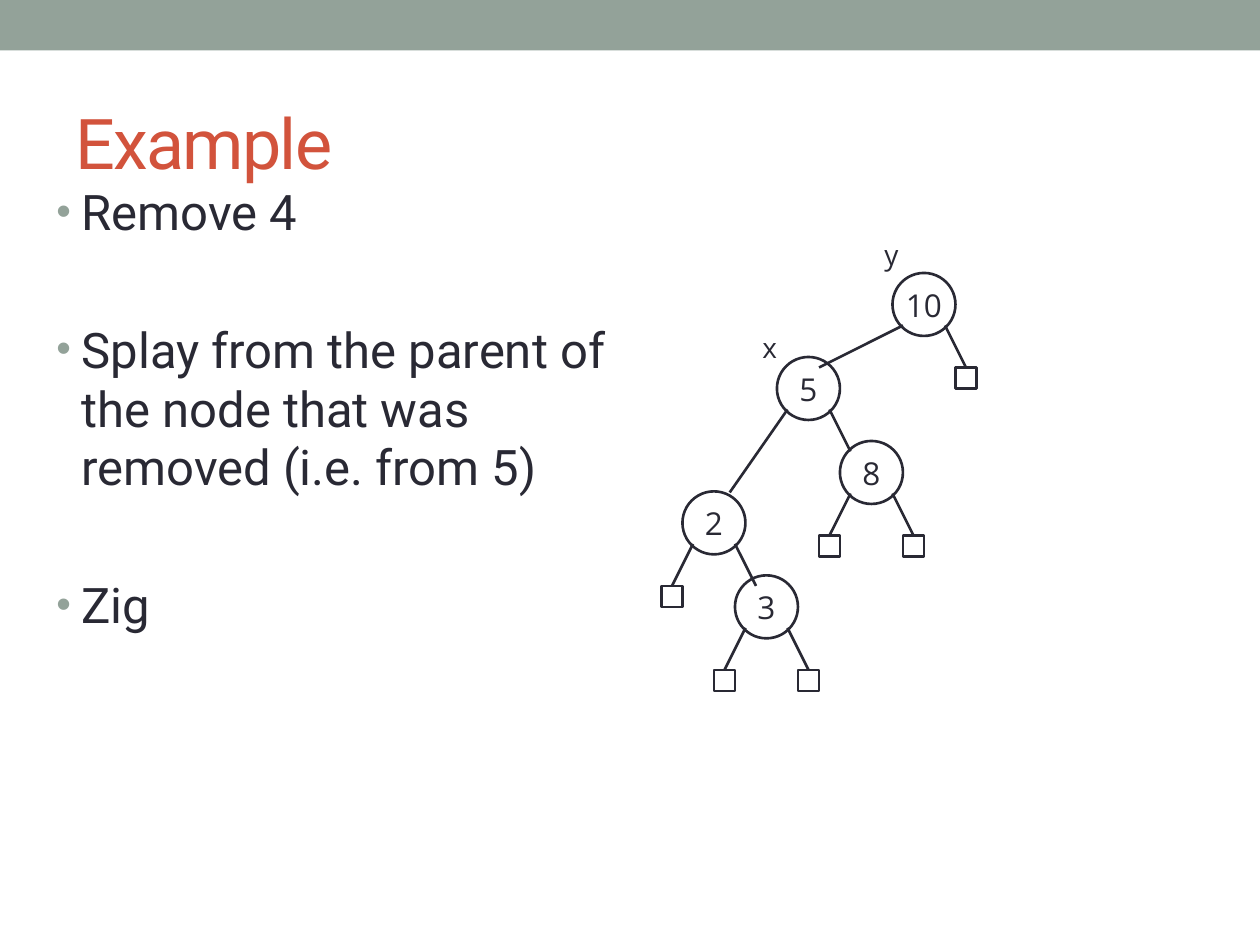
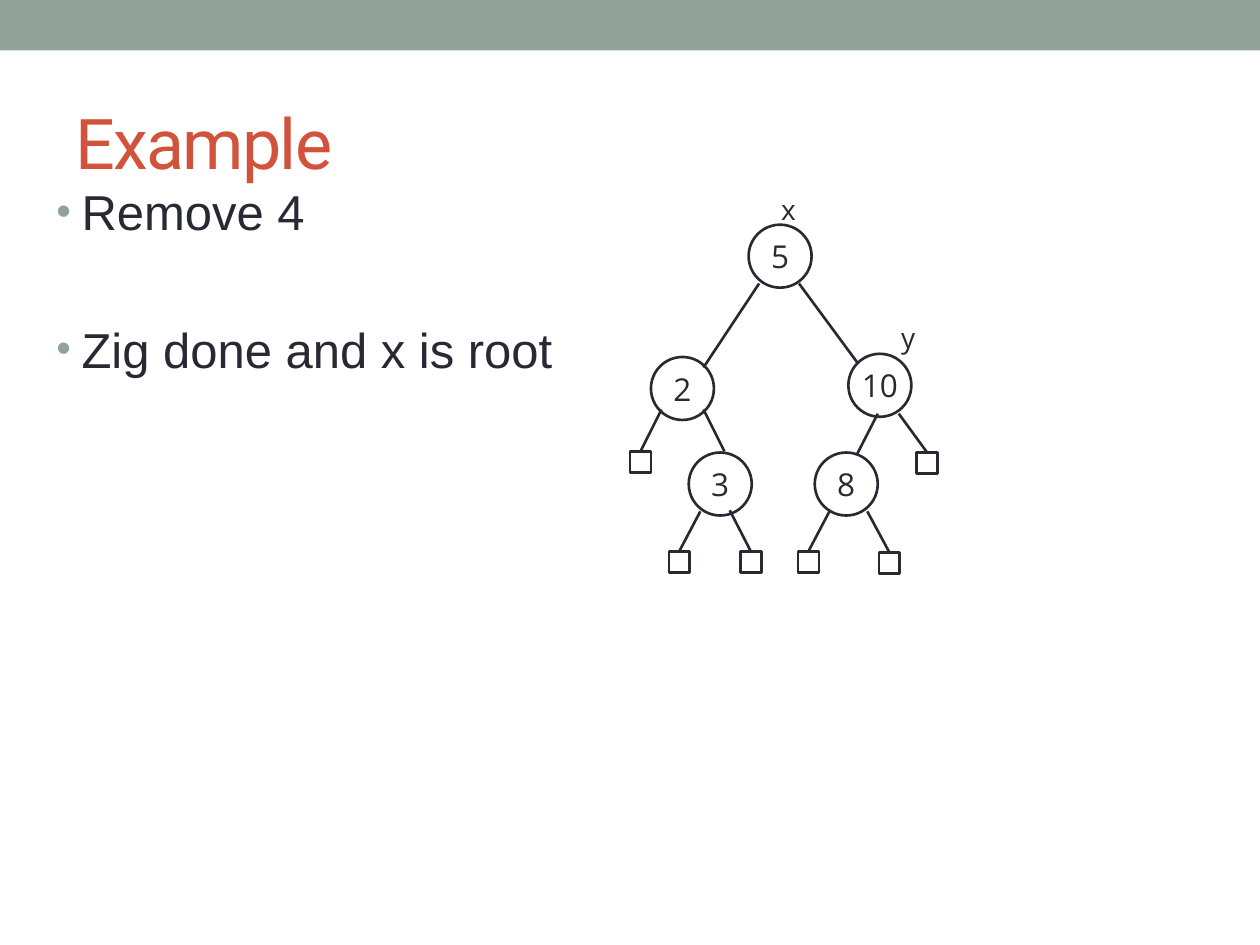
from lxml import etree
from pptx import Presentation
from pptx.dml.color import RGBColor as Rgb
from pptx.enum.shapes import MSO_CONNECTOR as Connector, MSO_SHAPE as Preset
from pptx.enum.text import MSO_ANCHOR as Anchor, MSO_AUTO_SIZE as AutoSize, PP_ALIGN as Align
from pptx.oxml.ns import qn
from pptx.util import Inches, Pt

COLORS = {"band": "93A299", "title": "D2533C", "ink": "292934", "paper": "FFFFFF"}
COLUMNS, ROWS = 120, 90  # square grid cells
NODE, LEAF = 6, 2  # sizes in cells
FORMATS = {
    "title": {"name": "Roboto", "size": Pt(40)},
    "key": {"name": "Open Sans", "size": Pt(18)},
    "label": {"name": "Open Sans", "size": Pt(16)},
}


def assign(target, values):
    for name, value in values.items():
        setattr(target, name, value)


class TreeDeck:
    def __init__(self):
        self.prs = Presentation()
        assign(self.prs, {"slide_width": Inches(10), "slide_height": Inches(7.5)})
        self.layout = self.prs.slide_layouts[5]  # title only
        self.slide = None

    def place(self, left, top, width, height):
        across, down = self.prs.slide_width / COLUMNS, self.prs.slide_height / ROWS
        return [round(v) for v in (left * across, top * down, width * across, height * down)]

    def centred(self, x, y, width, height):
        return self.place(x - width / 2, y - height / 2, width, height)

    def style(self, font, values, color="ink"):
        assign(font, values)
        font.color.rgb = Rgb.from_string(COLORS[color])

    def outline(self, line):
        line.color.rgb = Rgb.from_string(COLORS["ink"])
        line.width = Pt(1.5)

    def start_slide(self, title):
        self.slide = self.prs.slides.add_slide(self.layout)
        if len(self.prs.slides) == 1:
            self.add_band()
        heading = self.slide.shapes.title
        assign(heading, dict(zip(("left", "top", "width", "height"), self.place(6, 7, 108, 13))))
        assign(heading.text_frame, {"text": title, "vertical_anchor": Anchor.MIDDLE,
                                    "word_wrap": True})
        paragraph = heading.text_frame.paragraphs[0]
        paragraph.alignment = Align.LEFT
        run = paragraph.runs[0]
        self.style(run.font, FORMATS["title"], "title")
        run._r.get_or_add_rPr().set("spc", "-100")

    def add_band(self):
        """Moves the top band to the layout, which all slides share."""
        band = self.slide.shapes.add_shape(Preset.RECTANGLE, *self.place(0, 0, COLUMNS, 4.8))
        band.shadow.inherit = False
        band.fill.solid()
        band.fill.fore_color.rgb = Rgb.from_string(COLORS["band"])
        band.line.fill.background()
        self.layout.shapes.element.append(band.element)

    def bullets(self, points, font_name):
        frame = self.slide.shapes.add_textbox(*self.place(4.2, 16.7, 54.7, 69)).text_frame
        frame.word_wrap = True
        for index, point in enumerate(points):
            paragraph = frame.paragraphs[0] if index == 0 else frame.add_paragraph()
            paragraph.space_before = Pt(45 if index else 0)
            run = paragraph.add_run()
            run.text = point
            self.style(run.font, {"name": font_name, "size": Pt(28)})
            properties = paragraph._p.get_or_add_pPr()
            properties.set("marL", str(Inches(0.2)))
            properties.set("indent", str(-Inches(0.2)))
            color = etree.SubElement(properties, qn("a:buClr"))
            etree.SubElement(color, qn("a:srgbClr"), val=COLORS["band"])
            etree.SubElement(properties, qn("a:buSzPct"), val="85000")
            etree.SubElement(properties, qn("a:buFont"), typeface="Arial")
            etree.SubElement(properties, qn("a:buChar"), char="•")

    def centre_text(self, frame, text, values):
        assign(frame, {"text": text, "word_wrap": False, "vertical_anchor": Anchor.MIDDLE})
        paragraph = frame.paragraphs[0]
        paragraph.alignment = Align.CENTER
        self.style(paragraph.runs[0].font, values)

    def label(self, text, x, y):
        frame = self.slide.shapes.add_textbox(*self.centred(x, y, 4, 4.4)).text_frame
        self.centre_text(frame, text, FORMATS["label"])
        frame.auto_size = AutoSize.SHAPE_TO_FIT_TEXT

    def node(self, key, x, y):
        circle = self.slide.shapes.add_shape(Preset.OVAL, *self.centred(x, y, NODE, NODE))
        circle.shadow.inherit = False
        circle.fill.solid()
        circle.fill.fore_color.rgb = Rgb.from_string(COLORS["paper"])
        self.outline(circle.line)
        self.centre_text(circle.text_frame, key, FORMATS["key"])

    def leaf(self, x, y):
        square = self.slide.shapes.add_shape(Preset.RECTANGLE, *self.centred(x, y, LEAF, LEAF))
        square.shadow.inherit = False
        square.fill.background()
        self.outline(square.line)

    def edge(self, parent, start, child, end):
        """Joins two centres, with an offset from each."""
        ends = self.place(parent[0] + start[0], parent[1] + start[1],
                          child[0] + end[0], child[1] + end[1])
        line = self.slide.shapes.add_connector(Connector.STRAIGHT, *ends)
        self.outline(line.line)
        etree.SubElement(line._element.spPr, qn("a:effectLst"))

    def tree(self, nodes, branches, leaves, labels):
        for key, centre in nodes.items():
            self.node(key, *centre)
        for parent, start, child, end in branches:
            self.edge(nodes[parent], start, nodes[child], end)
        for parent, start, (across, down) in leaves:
            x, y = nodes[parent]
            self.leaf(x + across, y + down)
            self.edge((x, y), start, (x + across, y + down), (0, -LEAF / 2))
        for text, centre in labels.items():
            self.label(text, *centre)


deck = TreeDeck()
LEFT, RIGHT = ((-2, 2), (-4, 7)), ((2, 2), (4, 7))  # edge start, leaf centre

# Before the zig: 10 is the root
deck.start_slide("Example")
deck.bullets(["Remove 4",
              "Splay from the parent of the node that was removed (i.e. from 5)",
              "Zig"], "Roboto")
deck.tree(
    nodes={"10": (88, 29), "5": (77, 37), "8": (83, 45), "2": (68, 49.8), "3": (73, 57.8)},
    branches=[("10", (-2, 2), "5", (1, -2)), ("5", (2, 2), "8", (-2, -2)),
              ("5", (-2, 2), "2", (1.5, -2.9)), ("2", (2, 2), "3", (-1, -2))],
    leaves=[("10", *RIGHT), ("8", *LEFT), ("8", *RIGHT), ("2", *LEFT),
            ("3", *LEFT), ("3", *RIGHT)],
    labels={"y": (84.9, 24.2), "x": (73.3, 33.1)},
)

# After the zig: 5 is the root
deck.start_slide("Example")
deck.bullets(["Remove 4", "Zig done and x is root"], "Arial")
deck.tree(
    nodes={"5": (74.3, 24.4), "2": (65, 37), "10": (83.8, 36.7),
           "3": (68.6, 46.1), "8": (80.6, 46.1)},
    branches=[("5", (-2, 2.6), "2", (2, -2)), ("5", (1.8, 2.6), "10", (-2.1, -2.1)),
              ("2", (2, 2), "3", (0.4, -3.1)), ("10", (-0.2, 2.7), "8", (1, -2.8))],
    leaves=[("2", *LEFT), ("10", (1.8, 2.7), (4.5, 7.4)),
            ("3", (-1.9, 2.6), (-3.9, 7.4)), ("3", (0.9, 2.5), (2.9, 7.4)),
            ("8", (-1.6, 2.6), (-3.6, 7.4)), ("8", (2, 2.6), (4.1, 7.5))],
    labels={"x": (75.1, 19.9), "y": (86.5, 32.1)},
)

deck.prs.save("out.pptx")
